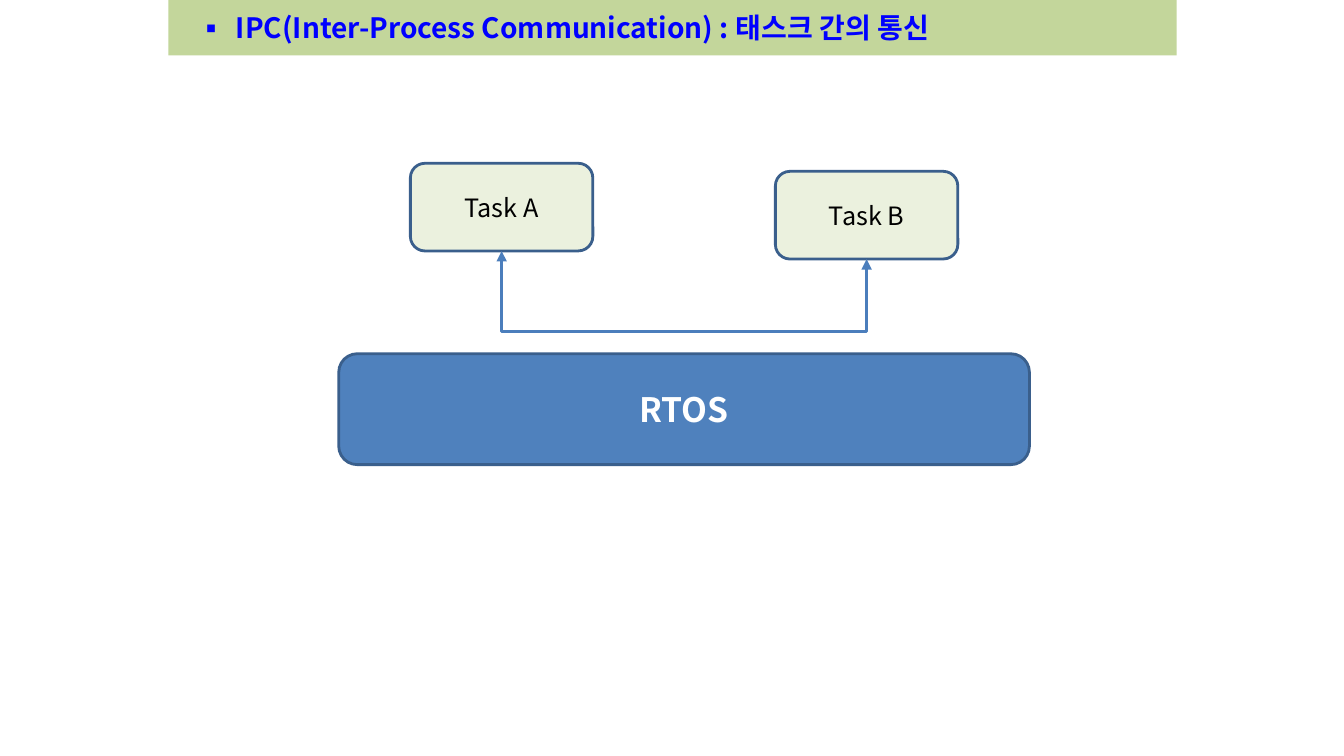
"""Build the slide on inter-process communication between two RTOS tasks."""
from dataclasses import dataclass

from lxml.etree import SubElement
from pptx import Presentation
from pptx.dml.color import RGBColor
from pptx.enum.shapes import MSO_CONNECTOR as Connector, MSO_SHAPE as Preset
from pptx.enum.text import MSO_ANCHOR as Anchor, MSO_AUTO_SIZE as AutoSize, PP_ALIGN as Align
from pptx.oxml.ns import qn
from pptx.util import Inches, Pt


@dataclass(frozen=True)
class Theme:
    font: str = "Noto Sans CJK KR"
    banner: RGBColor = RGBColor(0xC3, 0xD6, 0x9B)
    heading: RGBColor = RGBColor(0x00, 0x00, 0xFF)
    system: RGBColor = RGBColor(0x4F, 0x81, 0xBD)
    task: RGBColor = RGBColor(0xEB, 0xF1, 0xDE)
    outline: RGBColor = RGBColor(0x3A, 0x5F, 0x8C)
    arrow: RGBColor = RGBColor(0x4B, 0x7E, 0xBC)
    light: RGBColor = RGBColor(0xFF, 0xFF, 0xFF)
    dark: RGBColor = RGBColor(0x00, 0x00, 0x00)
    heading_size: int = 20
    system_size: int = 24
    task_size: int = 18
    outline_width: float = 2
    arrow_width: float = 2.5


class Diagram:
    def __init__(self, slide, theme):
        self.slide = slide
        self.theme = theme

    def label(self, shape, text, size, color, bold, align):
        frame = shape.text_frame
        frame.text = text
        frame_format = {"word_wrap": True, "auto_size": AutoSize.NONE, "vertical_anchor": Anchor.MIDDLE}
        for name, value in frame_format.items():
            setattr(frame, name, value)
        paragraph = frame.paragraphs[0]
        paragraph.alignment = align
        font = paragraph.runs[0].font
        for name, value in {"name": self.theme.font, "size": Pt(size), "bold": bold}.items():
            setattr(font, name, value)
        font.color.rgb = color
        properties = paragraph.runs[0]._r.get_or_add_rPr()
        SubElement(properties, qn("a:ea"), typeface=self.theme.font)
        return paragraph

    def banner(self, text, left, top, width, height):
        title = self.slide.shapes.title
        box = {"left": left, "top": top, "width": width, "height": height}
        for name, value in box.items():
            setattr(title, name, Inches(value))
        title.fill.solid()
        title.fill.fore_color.rgb = self.theme.banner
        paragraph = self.label(title, text, self.theme.heading_size, self.theme.heading, True, Align.LEFT)
        properties = paragraph._p.get_or_add_pPr()
        properties.set("marL", str(Inches(0.57)))
        properties.set("indent", str(Inches(-0.38)))
        SubElement(properties, qn("a:buFont"), typeface=self.theme.font)
        SubElement(properties, qn("a:buChar"), char="▪")

    def block(self, text, left, top, width, height, fill, size, color, bold=False):
        box = [Inches(value) for value in (left, top, width, height)]
        shape = self.slide.shapes.add_shape(Preset.ROUNDED_RECTANGLE, *box)
        shape.shadow.inherit = False
        shape.fill.solid()
        shape.fill.fore_color.rgb = fill
        shape.line.color.rgb = self.theme.outline
        shape.line.width = Pt(self.theme.outline_width)
        self.label(shape, text, size, color, bold, Align.CENTER)
        return shape

    def link_below(self, first, second, depth):
        start_x = first.left + first.width // 2
        start_y = first.top + first.height
        span = second.left + second.width // 2 - start_x
        drop = second.top + second.height - start_y
        center_x, center_y = start_x + span // 2, start_y + drop // 2
        left, top = center_x - drop // 2, center_y - span // 2
        connector = self.slide.shapes.add_connector(
            Connector.ELBOW, left + drop, top, left, top + span)
        connector.line.color.rgb = self.theme.arrow
        connector.line.width = Pt(self.theme.arrow_width)
        properties = connector._element.spPr
        properties.find(qn("a:xfrm")).set("rot", str(270 * 60000))
        adjustments = properties.find(qn("a:prstGeom")).find(qn("a:avLst"))
        bend = round(Inches(depth) / drop * 100000)
        SubElement(adjustments, qn("a:gd"), name="adj1", fmla=f"val {bend}")
        for end in ("a:headEnd", "a:tailEnd"):
            SubElement(properties.find(qn("a:ln")), qn(end), type="triangle")
        SubElement(properties, qn("a:effectLst"))


def main():
    presentation = Presentation()
    presentation.slide_width, presentation.slide_height = Inches(13.33), Inches(7.5)
    slide = presentation.slides.add_slide(presentation.slide_layouts[5])
    theme = Theme()
    diagram = Diagram(slide, theme)

    diagram.banner("IPC(Inter-Process Communication) : 태스크 간의 통신", 1.67, 0, 10, 0.55)
    diagram.block("RTOS", 3.36, 3.51, 6.85, 1.1, theme.system, theme.system_size, theme.light, bold=True)
    task_a, task_b = [
        diagram.block(name, left, top, 1.81, 0.87, theme.task, theme.task_size, theme.dark)
        for name, left, top in (("Task A", 4.07, 1.62), ("Task B", 7.69, 1.7))
    ]
    diagram.link_below(task_a, task_b, depth=0.8)

    presentation.save("out.pptx")


if __name__ == "__main__":
    main()
